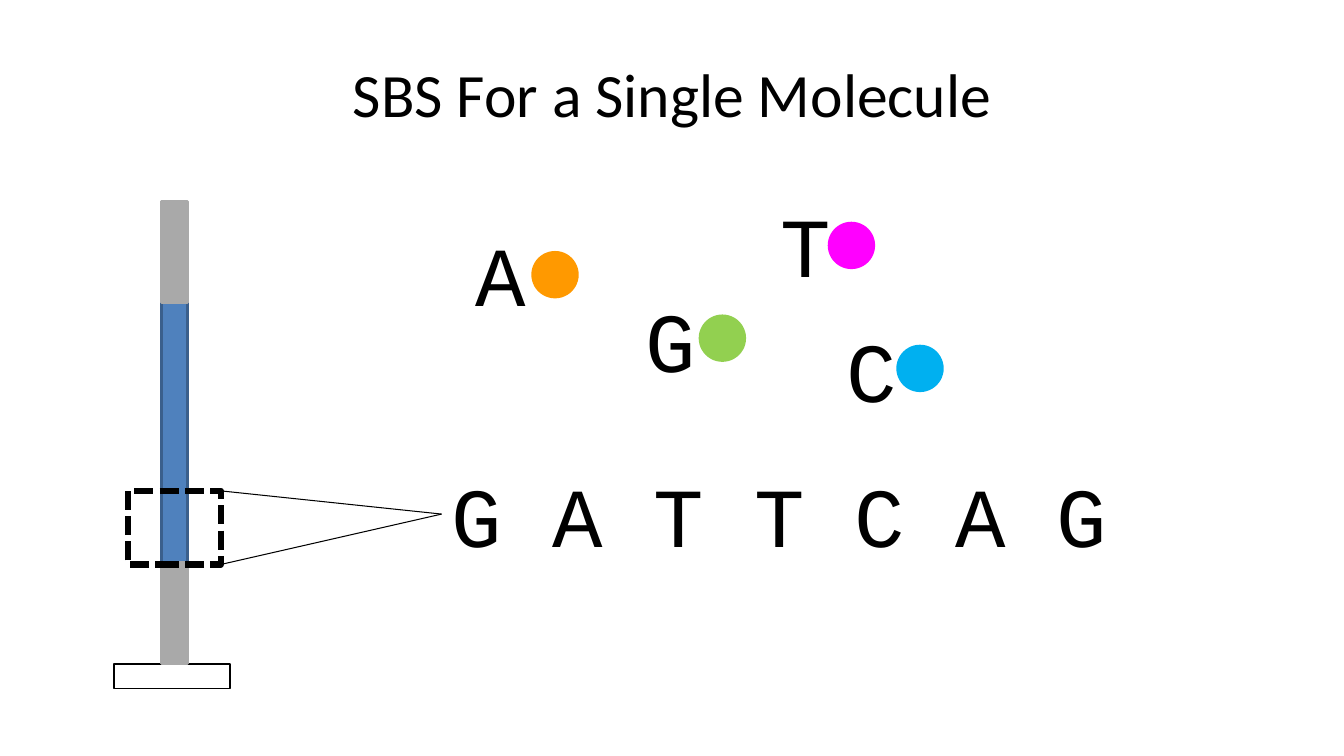
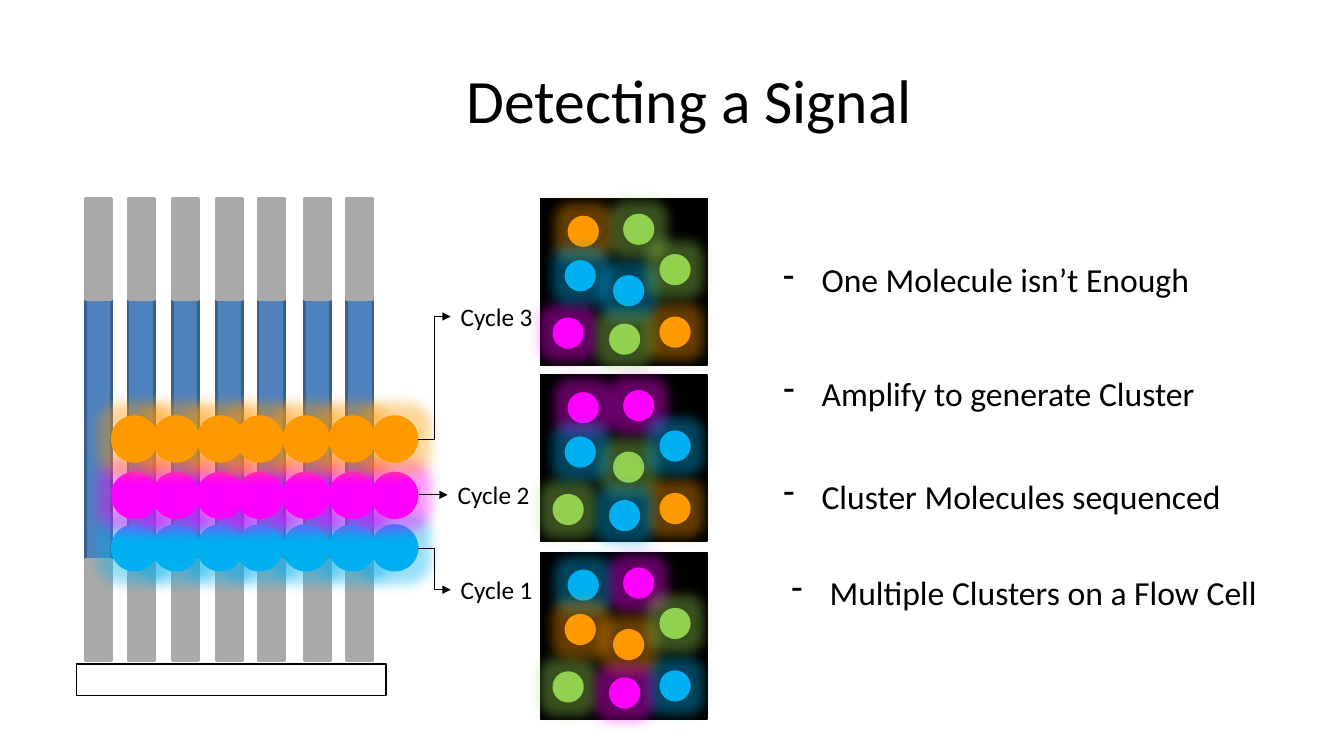
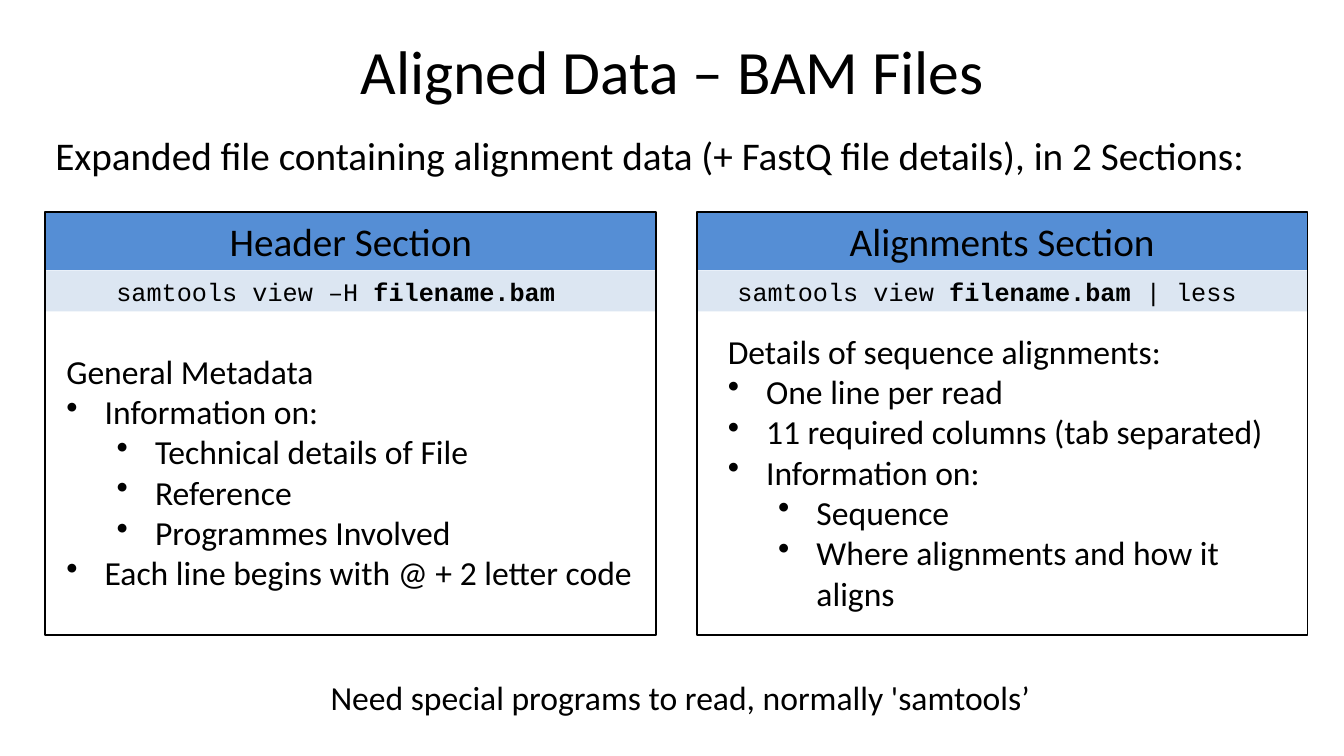
from dataclasses import dataclass

from lxml.etree import SubElement
from pptx import Presentation
from pptx.dml.color import RGBColor
from pptx.enum.dml import MSO_LINE
from pptx.enum.shapes import MSO_CONNECTOR, MSO_SHAPE
from pptx.enum.text import MSO_ANCHOR, MSO_AUTO_SIZE, PP_ALIGN
from pptx.oxml.ns import qn
from pptx.util import Emu, Pt


@dataclass(frozen=True)
class Theme:
    black: str = "000000"
    white: str = "FFFFFF"
    orange: str = "FF9900"
    green: str = "92D050"
    magenta: str = "FF00FF"
    cyan: str = "00B0F0"
    insert: str = "4F81BD"
    insert_edge: str = "3A5F8C"
    adapter: str = "A9A9A9"
    header: str = "558ED5"
    command: str = "DCE6F2"
    font: str = "Calibri"
    code_font: str = "Courier New"
    title_size: int = 44
    base_size: int = 60
    heading_size: int = 28
    body_size: int = 24
    label_size: int = 18
    thin: float = 0.75
    outline: float = 1.25
    strand_edge: float = 2
    dashed: float = 4.5
    glow_radius: int = 18
    glow_alpha: int = 40000


THEME = Theme()
EMU_PER_PX = 9144
STRAND_WIDTH = 26
ADAPTER_HEIGHT = 100
INSERT_HEIGHT = 258
BALL = 47
SPOT = 31
PANEL = 165
INDENT = 38
LEVEL_INDENT = 50


def px(value):
    return Emu(value * EMU_PER_PX)


def box(left, top, width, height):
    return px(left), px(top), px(width), px(height)


def rgb(colour):
    return RGBColor.from_string(colour)


def style_font(font, size, name=THEME.font):
    font.size = Pt(size)
    font.name = name
    font.color.rgb = rgb(THEME.black)


def add_bullet(paragraph, character, level):
    properties = paragraph._p.get_or_add_pPr()
    properties.set("marL", str(px(INDENT + level * LEVEL_INDENT)))
    properties.set("indent", str(px(-INDENT)))
    SubElement(properties, qn("a:buFontTx"))
    SubElement(properties, qn("a:buChar")).set("char", character)
    paragraph.level = level


def add_title(presentation, text, left, top):
    slide = presentation.slides.add_slide(presentation.slide_layouts[5])
    title = slide.shapes.title
    title.left, title.top, title.width, title.height = box(left, top, 1200, 125)
    frame = title.text_frame
    frame.text = text
    frame.vertical_anchor = MSO_ANCHOR.MIDDLE
    frame.paragraphs[0].alignment = PP_ALIGN.CENTER
    style_font(frame.paragraphs[0].font, THEME.title_size)
    return slide


def add_text(slide, bounds, lines, size, font=THEME.font, wrap=False):
    frame = slide.shapes.add_textbox(*box(*bounds)).text_frame
    frame.word_wrap = wrap
    frame.auto_size = MSO_AUTO_SIZE.SHAPE_TO_FIT_TEXT
    for index, (text, bullet, level) in enumerate(lines):
        paragraph = frame.add_paragraph() if index else frame.paragraphs[0]
        paragraph.add_run().text = text
        if bullet:
            add_bullet(paragraph, bullet, level)
        style_font(paragraph.font, size, font)


def add_label(slide, bounds, text, size, font=THEME.font):
    add_text(slide, bounds, [(text, None, 0)], size, font)


def add_block(slide, bounds, fill=None, line=None, width=THEME.outline,
              kind=MSO_SHAPE.RECTANGLE):
    shape = slide.shapes.add_shape(kind, *box(*bounds))
    shape.shadow.inherit = False
    if fill:
        shape.fill.solid()
        shape.fill.fore_color.rgb = rgb(fill)
    else:
        shape.fill.background()
    if line:
        shape.line.color.rgb = rgb(line)
        shape.line.width = Pt(width)
    else:
        shape.line.fill.background()
    return shape


def add_ball(slide, left, top, size, colour, glowing=True):
    ball = add_block(slide, (left, top, size, size), colour, kind=MSO_SHAPE.OVAL)
    if glowing:
        effects = ball._element.spPr.find(qn("a:effectLst"))
        glow = SubElement(effects, qn("a:glow"), rad=str(Pt(THEME.glow_radius)))
        tint = SubElement(glow, qn("a:srgbClr"), val=colour)
        SubElement(tint, qn("a:alpha"), val=str(THEME.glow_alpha))


def add_line(slide, start, end, kind=MSO_CONNECTOR.STRAIGHT, arrow=False):
    x1, y1, x2, y2 = box(*start, *end)
    connector = slide.shapes.add_connector(kind, x1, y1, x2, y2)
    connector.line.color.rgb = rgb(THEME.black)
    connector.line.width = Pt(THEME.thin)
    if arrow:
        SubElement(connector.line._get_or_add_ln(), qn("a:tailEnd"), type="triangle")
    SubElement(connector._element.spPr, qn("a:effectLst"))


def add_strand(slide, left, top):
    insert_top = top + ADAPTER_HEIGHT
    add_block(slide, (left, insert_top, STRAND_WIDTH, INSERT_HEIGHT),
              THEME.insert, THEME.insert_edge, THEME.strand_edge)
    for adapter_top in (insert_top + INSERT_HEIGHT, top):
        add_block(slide, (left, adapter_top, STRAND_WIDTH, ADAPTER_HEIGHT),
                  THEME.adapter, THEME.adapter, THEME.strand_edge)


def add_panel(slide, left, top, colours):
    spots = [(27, 17), (118, 117), (82, 15), (72, 76),
             (118, 55), (12, 118), (24, 61), (68, 124)]
    add_block(slide, (left, top, PANEL, PANEL), THEME.black, THEME.black)
    for (x, y), colour in zip(spots, colours):
        add_ball(slide, left + x, top + y, SPOT, colour)


def add_bar(slide, bounds, fill, runs, size, font=THEME.font, right_margin=10):
    frame = add_block(slide, bounds, fill).text_frame
    frame.word_wrap = True
    frame.vertical_anchor = MSO_ANCHOR.TOP
    frame.margin_right = px(right_margin)
    paragraph = frame.paragraphs[0]
    paragraph.alignment = PP_ALIGN.CENTER
    style_font(paragraph.font, size, font)
    for text, bold in runs:
        run = paragraph.add_run()
        run.text = text
        run.font.bold = bold


def add_section(slide, left, heading, command, body_bounds, body):
    width = 606
    add_bar(slide, (left, 269, width, 40), THEME.command, command,
            THEME.label_size, THEME.code_font, right_margin=40)
    add_bar(slide, (left, 211, width, 57), THEME.header, [(heading, False)],
            THEME.heading_size)
    add_block(slide, (left, 210, width, 420), line=THEME.black)
    add_text(slide, body_bounds, body, THEME.body_size, wrap=True)


def build_single_molecule(presentation):
    slide = add_title(presentation, "SBS For a Single Molecule", 67, 30)
    add_label(slide, (438, 455, 677, 111), "G A T T C A G",
              THEME.base_size, THEME.code_font)
    add_block(slide, (113, 659, 115, 24), THEME.white, THEME.black)
    nucleotides = [
        ("A", THEME.orange, (462, 216), (527, 249)),
        ("G", THEME.green, (630, 281), (693, 312)),
        ("T", THEME.magenta, (764, 187), (821, 220)),
        ("C", THEME.cyan, (830, 311), (889, 342)),
    ]
    for letter, colour, letter_at, ball_at in nucleotides:
        add_label(slide, (*letter_at, 71, 111), letter,
                  THEME.base_size, THEME.code_font)
        add_ball(slide, *ball_at, BALL, colour, glowing=False)
    for corner_y in (487, 560):
        add_line(slide, (219, corner_y), (438, 510))
    add_strand(slide, 160, 200)
    window = add_block(slide, (127, 487, 92, 73), line=THEME.black, width=THEME.dashed)
    window.line.dash_style = MSO_LINE.SQUARE_DOT


def build_signal(presentation):
    slide = add_title(presentation, "Detecting a Signal", 84, 36)
    orange, green, magenta, cyan = THEME.orange, THEME.green, THEME.magenta, THEME.cyan

    for left in (344, 302, 256, 215, 171, 127, 85):
        add_strand(slide, left, 197)

    panels = [
        (548, (cyan, cyan, magenta, orange, green, green, orange, magenta)),
        (372, (magenta, orange, magenta, green, cyan, green, cyan, cyan)),
        (197, (orange, orange, green, cyan, green, magenta, cyan, green)),
    ]
    for top, colours in panels:
        add_panel(slide, 536, top, colours)

    cycles = [
        ("Cycle 1", cyan, 520, (415, 544), (447, 585), 565),
        ("Cycle 2", magenta, 468, (416, 491), (444, 491), 471),
        ("Cycle 3", orange, 412, (415, 436), (447, 314), 294),
    ]
    for label, colour, ball_top, start, end, label_top in cycles:
        for left in (368, 326, 280, 234, 195, 151, 110):
            add_ball(slide, left, ball_top, BALL, colour)
        add_label(slide, (end[0], label_top, 92, 40), label, THEME.label_size)
        add_line(slide, start, end, MSO_CONNECTOR.ELBOW, arrow=True)

    points = [
        ("One Molecule isn’t Enough", (767, 252, 426, 50)),
        ("Amplify to generate Cluster", (767, 365, 431, 50)),
        ("Cluster Molecules sequenced", (767, 467, 458, 50)),
        ("Multiple Clusters on a Flow Cell", (775, 562, 486, 50)),
    ]
    for text, bounds in points:
        add_text(slide, bounds, [(text, "-", 0)], THEME.body_size)
    add_block(slide, (76, 659, 307, 31), THEME.white, THEME.black)


def build_bam_files(presentation):
    slide = add_title(presentation, "Aligned Data – BAM Files", 67, 7)
    add_text(slide, (45, 125, 1268, 63), [
        ("Expanded file containing alignment data (+ FastQ file details), in 2 Sections:",
         None, 0),
    ], THEME.heading_size, wrap=True)
    add_section(
        slide, 45, "Header Section",
        [("samtools view –H ", False), ("filename.bam", True)],
        (56, 343, 583, 252),
        [
            ("General Metadata", None, 0),
            ("Information on:", "•", 0),
            ("Technical details of File", "•", 1),
            ("Reference", "•", 1),
            ("Programmes Involved", "•", 1),
            ("Each line begins with @ + 2 letter code", "•", 0),
        ])
    add_section(
        slide, 691, "Alignments Section",
        [("samtools view ", False), ("filename.bam ", True), ("| less", False)],
        (712, 323, 566, 293),
        [
            ("Details of sequence alignments:", None, 0),
            ("One line per read", "•", 0),
            ("11 required columns (tab separated)", "•", 0),
            ("Information on:", "•", 0),
            ("Sequence", "•", 1),
            ("Where alignments and how it aligns", "•", 1),
        ])
    add_label(slide, (318, 667, 720, 50),
              "Need special programs to read, normally 'samtools’", THEME.body_size)


def main():
    presentation = Presentation()
    presentation.slide_width, presentation.slide_height = px(1333), px(750)
    build_single_molecule(presentation)
    build_signal(presentation)
    build_bam_files(presentation)
    presentation.save("out.pptx")


if __name__ == "__main__":
    main()
